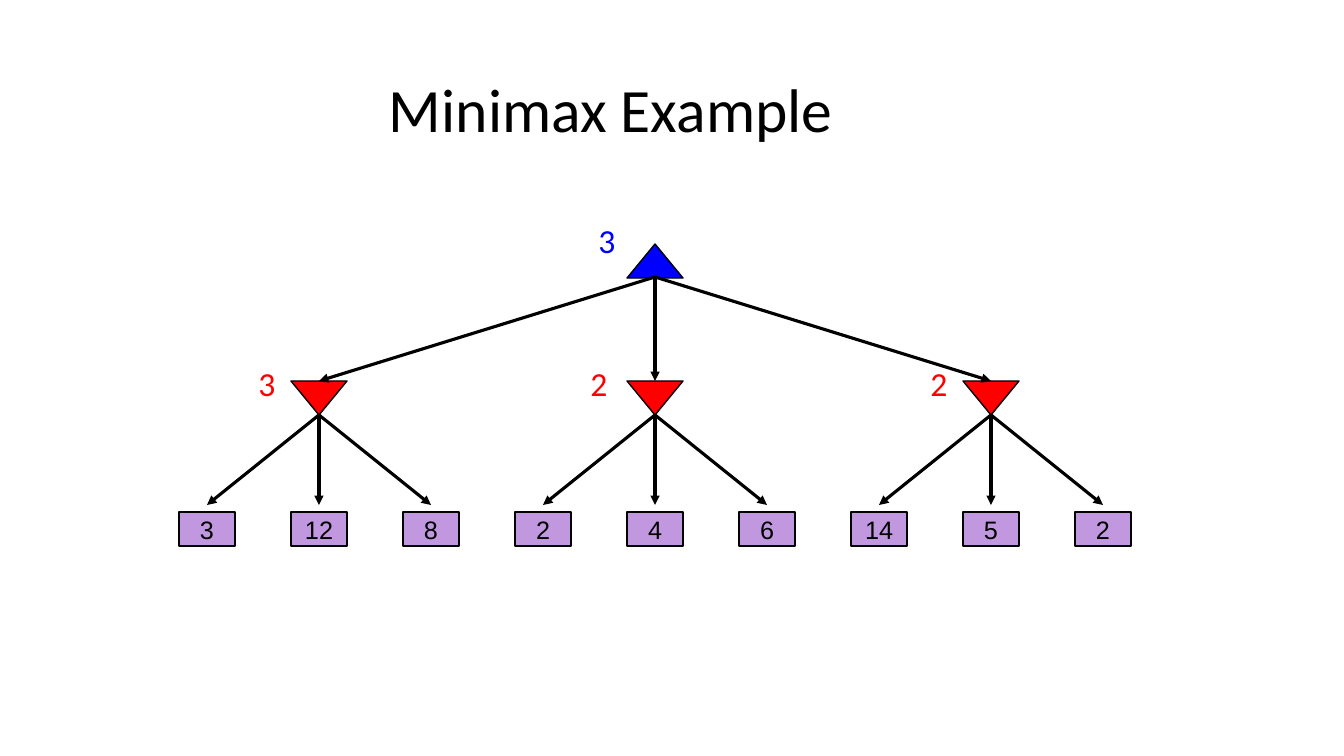
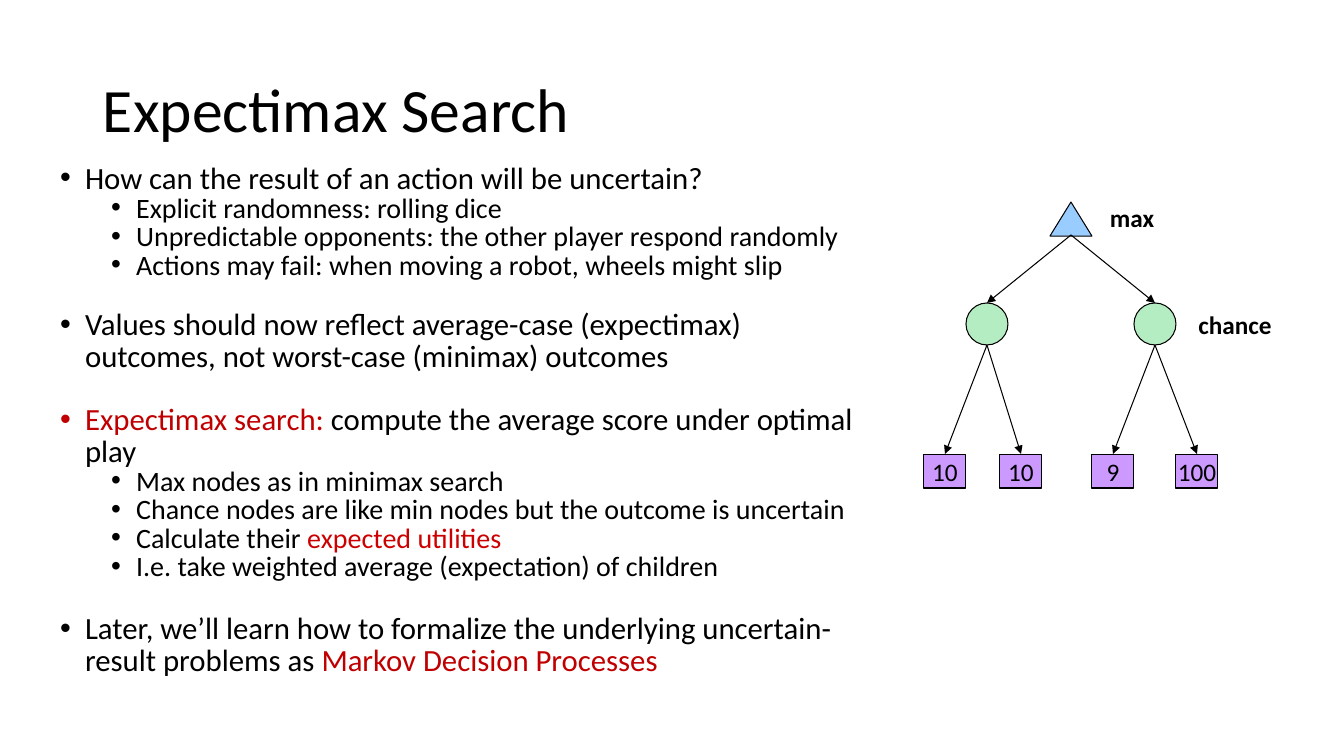
import pptx
import pptx.util
import pptx.dml.color
import pptx.enum.shapes
import pptx.enum.text
import pptx.oxml.ns
import lxml.etree

PX = 9071  # EMU in one px, 100.8 px to the inch
BLACK, RED, BLUE = "000000", "FF0000", "0000FF"
ACCENT = "C00000"
rgb = pptx.dml.color.RGBColor.from_string
qn = pptx.oxml.ns.qn
Pt = pptx.util.Pt
SHAPE = pptx.enum.shapes.MSO_SHAPE
ALIGN = pptx.enum.text.PP_ALIGN
MIDDLE = pptx.enum.text.MSO_ANCHOR.MIDDLE


def node(slide, kind, centre, top, width, height, fill, line_width, value="", font="Calibri"):
    """Draw one tree node around a centre line."""
    shape = slide.shapes.add_shape(
        kind, (centre - width // 2) * PX, top * PX, width * PX, height * PX)
    shape.shadow.inherit = False
    shape.fill.solid()
    shape.fill.fore_color.rgb = rgb(fill)
    shape.line.color.rgb = rgb(BLACK)
    shape.line.width = Pt(line_width)
    if value:
        frame = shape.text_frame
        frame.margin_left = frame.margin_right = frame.margin_top = frame.margin_bottom = 0
        frame.word_wrap = False
        frame.vertical_anchor = MIDDLE
        frame.text = value
        frame.paragraphs[0].alignment = ALIGN.CENTER
        run_font = frame.paragraphs[0].runs[0].font
        run_font.name, run_font.size = font, Pt(18)
        run_font.color.rgb = rgb(BLACK)


def edge(slide, x1, y1, x2, y2, line_width):
    """Draw an arrow from a parent to a child."""
    arrow = slide.shapes.add_connector(
        pptx.enum.shapes.MSO_CONNECTOR.STRAIGHT, x1 * PX, y1 * PX, x2 * PX, y2 * PX)
    arrow.line.color.rgb = rgb(BLACK)
    arrow.line.width = Pt(line_width)
    lxml.etree.SubElement(arrow.line._get_or_add_ln(), qn("a:tailEnd"), type="triangle")
    lxml.etree.SubElement(arrow._element.spPr, qn("a:effectLst"))


deck = pptx.Presentation()
deck.slide_width, deck.slide_height = 1344 * PX, 756 * PX
minimax = deck.slides.add_slide(deck.slide_layouts[5])
expectimax = deck.slides.add_slide(deck.slide_layouts[1])

# Titles
for slide, heading, top, indent in [(minimax, "Minimax Example", 40, 296),
                                    (expectimax, "Expectimax Search", 40, 10)]:
    title = slide.shapes.title
    title.left, title.top, title.width, title.height = 93 * PX, top * PX, 1159 * PX, 146 * PX
    frame = title.text_frame
    frame.text = heading
    frame.margin_left = indent * PX
    frame.auto_size = pptx.enum.text.MSO_AUTO_SIZE.NONE
    frame.vertical_anchor = MIDDLE
    frame.paragraphs[0].alignment = ALIGN.LEFT
    frame.paragraphs[0].line_spacing = 0.9
    font = frame.paragraphs[0].runs[0].font
    font.name, font.size = "Calibri", Pt(44)
    font.color.rgb = rgb(BLACK)

# Minimax tree: one max node, three min nodes, three leaves each
leaf_groups = [("3", "12", "8"), ("2", "4", "6"), ("14", "5", "2")]
FIRST_LEAF, LEAF_STEP = 207, 112
root = FIRST_LEAF + 4 * LEAF_STEP
node(minimax, SHAPE.ISOSCELES_TRIANGLE, root, 244, 56, 34, BLUE, 1)
for group, values in enumerate(leaf_groups):
    min_centre = FIRST_LEAF + (3 * group + 1) * LEAF_STEP
    node(minimax, SHAPE.FLOWCHART_MERGE, min_centre, 381, 56, 34, RED, 1)
    edge(minimax, root, 277, min_centre, 381, 2.25)
    for place, value in enumerate(values):
        leaf = min_centre + (place - 1) * LEAF_STEP
        node(minimax, SHAPE.RECTANGLE, leaf, 512, 56, 34, "C198E0", 1, value, "Arial")
        edge(minimax, min_centre, 415, leaf, 505, 2.25)

# Expectimax tree: one max node, two chance nodes, two leaves each
max_centre = 1071
chance_nodes = [(987, [(945, "10"), (1021, "10")]),
                (1155, [(1113, "9"), (1197, "100")])]
node(expectimax, SHAPE.ISOSCELES_TRIANGLE, max_centre, 202, 42, 34, "99CCFF", 0.75)
for chance, leaves in chance_nodes:
    edge(expectimax, max_centre, 235, chance, 303, 0.75)
    node(expectimax, SHAPE.OVAL, chance, 303, 42, 42, "B5EDC2", 0.75)
    for leaf, value in leaves:
        edge(expectimax, chance, 345, leaf, 454, 0.75)
        node(expectimax, SHAPE.RECTANGLE, leaf, 454, 42, 34, "CC99FF", 0.75, value)

# Labels beside the nodes
labels = [
    (minimax, "3", 597, 219, 20, 43, 24, BLUE, False),
    (minimax, "3", 257, 362, 20, 43, 24, RED, False),
    (minimax, "2", 589, 362, 20, 43, 24, RED, False),
    (minimax, "2", 929, 362, 20, 43, 24, RED, False),
    (expectimax, "max", 1095, 197, 74, 40, 18, BLACK, True),
    (expectimax, "chance", 1176, 304, 118, 40, 18, BLACK, True),
]
for slide, words, left, top, width, height, size, colour, bold in labels:
    frame = slide.shapes.add_textbox(left * PX, top * PX, width * PX, height * PX).text_frame
    frame.margin_left = frame.margin_right = frame.margin_top = frame.margin_bottom = 0
    frame.word_wrap = True
    frame.vertical_anchor = MIDDLE
    frame.text = words
    frame.paragraphs[0].alignment = ALIGN.CENTER
    font = frame.paragraphs[0].runs[0].font
    font.name, font.size, font.bold = "Calibri", Pt(size), bold
    font.color.rgb = rgb(colour)

# Expectimax points: level, space before, runs of text and colour
points = [
    (0, 0, [("How can the result of an action will be uncertain?", BLACK)]),
    (1, 0, [("Explicit randomness: rolling dice", BLACK)]),
    (1, 0, [("Unpredictable opponents: the other player respond randomly", BLACK)]),
    (1, 0, [("Actions may fail: when moving a robot, wheels might slip", BLACK)]),
    (0, 21, [("Values should now reflect average-case (expectimax) outcomes, "
              "not worst-case (minimax) outcomes", BLACK)]),
    (0, 23, [("Expectimax search:", ACCENT),
             (" compute the average score under optimal play", BLACK)]),
    (1, 0, [("Max nodes as in minimax search", BLACK)]),
    (1, 0, [("Chance nodes are like min nodes but the outcome is uncertain", BLACK)]),
    (1, 0, [("Calculate their ", BLACK), ("expected utilities", "CC0000")]),
    (1, 0, [("I.e. take weighted average (expectation) of children", BLACK)]),
    (0, 23, [("Later, we’ll learn how to formalize the underlying "
              "uncertain-result problems as ", BLACK),
             ("Markov Decision Processes", ACCENT)]),
]
body = expectimax.placeholders[1]
body.left, body.top, body.width, body.height = 50 * PX, 159 * PX, 824 * PX, 537 * PX
body.text_frame.auto_size = pptx.enum.text.MSO_AUTO_SIZE.NONE
for index, (level, gap, pieces) in enumerate(points):
    point = body.text_frame.add_paragraph() if index else body.text_frame.paragraphs[0]
    point.level = level
    properties = point._p.get_or_add_pPr()
    properties.set("marL", str((25, 76)[level] * PX))
    properties.set("indent", str(-25 * PX))
    lxml.etree.SubElement(properties, qn("a:buFont"), typeface="Arial")
    lxml.etree.SubElement(properties, qn("a:buChar"), char="•")
    point.line_spacing = 0.85
    point.space_before = Pt(gap)
    for words, colour in pieces:
        run = point.add_run()
        run.text = words
        run.font.name, run.font.size = "Calibri", Pt((22, 20)[level])
        run.font.color.rgb = rgb(colour)

deck.save("out.pptx")
